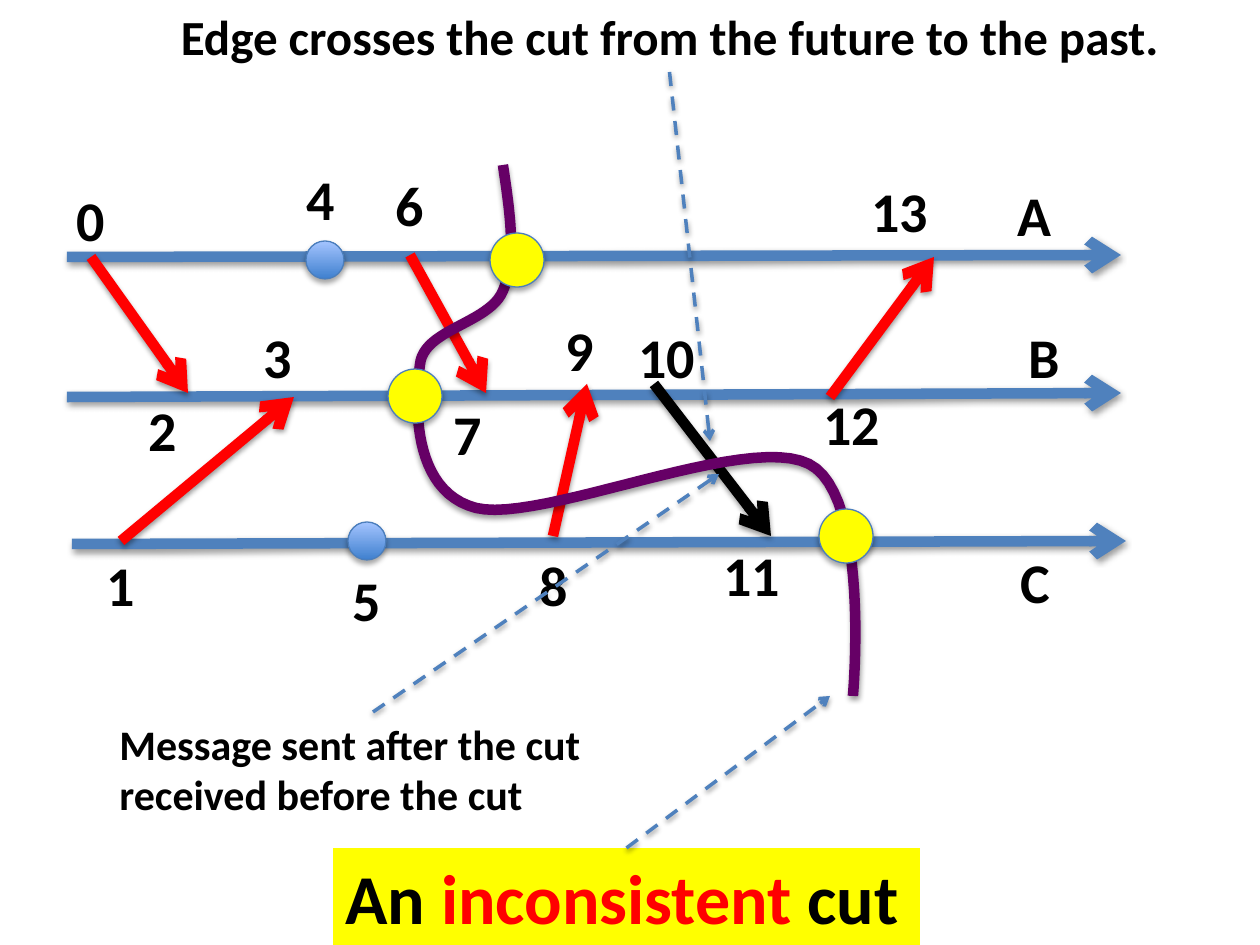
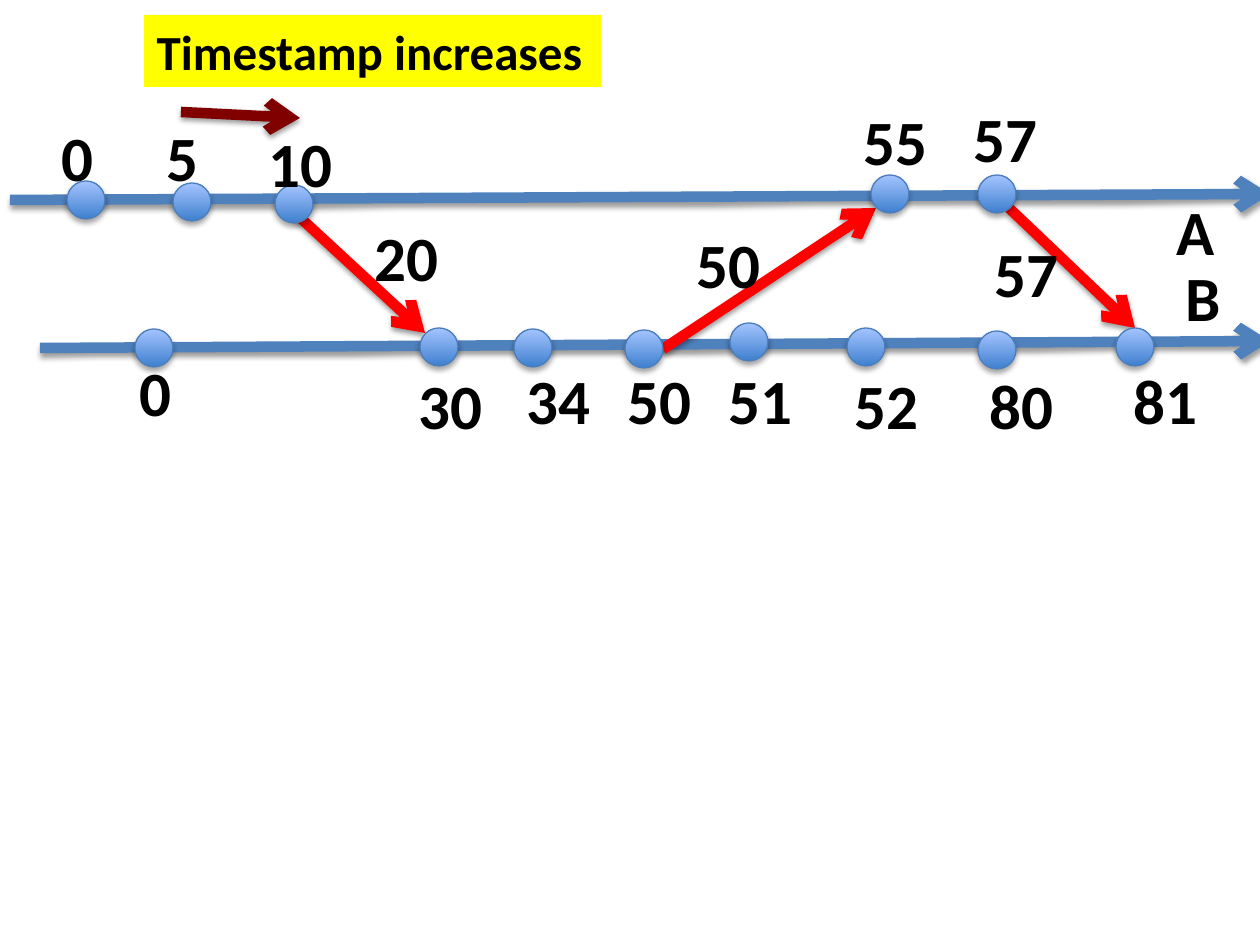
from lxml import etree
from pptx import Presentation
from pptx.dml.color import RGBColor
from pptx.enum.dml import MSO_LINE
from pptx.enum.shapes import MSO_CONNECTOR, MSO_SHAPE
from pptx.enum.text import MSO_ANCHOR, MSO_AUTO_SIZE, PP_ALIGN
from pptx.oxml.ns import qn
from pptx.util import Pt

STRAIGHT = MSO_CONNECTOR.STRAIGHT
OVAL = MSO_SHAPE.OVAL
DASH = MSO_LINE.DASH
LEFT, CENTER = PP_ALIGN.LEFT, PP_ALIGN.CENTER
TOP_SIDE, BOTTOM_SIDE = 0, 2

EMU_PER_PX = 914400 / 126
TITLE_ONLY = 5
FONT = "Calibri"
BLACK, RED, YELLOW = "000000", "FF0000", "FFFF00"
BLUE, OUTLINE, PURPLE, MAROON = "4F81BD", "4B7EBC", "660066", "800000"
EVENT_DARK, EVENT_LIGHT = "3F80CE", "A4C4FF"
EVENT_SIZE, CUT_SIZE = 38, 54
LETTER_WIDTHS = {"A": 1.06, "B": 0.98, "C": 0.93}
DIGIT_WIDTH = 0.9


def px(value):
    return round(value * EMU_PER_PX)


def box(*lengths):
    return [px(length) for length in lengths]


def rgb(color):
    return RGBColor.from_string(color)


def add_shadow(element, opacity, distance):
    """Append a soft shadow that falls straight down; distance is in points."""
    effects = etree.SubElement(element.spPr, qn("a:effectLst"))
    shadow = etree.SubElement(
        effects, qn("a:outerShdw"), blurRad=str(Pt(3.1)), dist=str(Pt(distance)),
        dir="5400000", rotWithShape="0")
    tint = etree.SubElement(shadow, qn("a:srgbClr"), val=BLACK)
    etree.SubElement(tint, qn("a:alpha"), val=str(opacity * 1000))


def write(shape, runs, size, align=LEFT, wrap=False):
    """Fill a shape with one bold paragraph of (text, color) runs."""
    frame = shape.text_frame
    frame.word_wrap = wrap
    frame.auto_size = MSO_AUTO_SIZE.NONE
    frame.vertical_anchor = MSO_ANCHOR.TOP
    paragraph = frame.paragraphs[0]
    paragraph.alignment = align
    for text, color in runs:
        run = paragraph.add_run()
        run.text = text
        run.font.name = FONT
        run.font.size = Pt(size)
        run.font.bold = True
        run.font.color.rgb = rgb(color)


def fill_solid(shape, color):
    shape.fill.solid()
    shape.fill.fore_color.rgb = rgb(color)


def set_title(slide, place, text, align, wrap):
    title = slide.shapes.title
    title.left, title.top, title.width, title.height = box(*place)
    write(title, [(text, BLACK)], 28, align, wrap)
    return title


def add_caption(slide, place, runs, size, wrap=False):
    caption = slide.shapes.add_textbox(*box(*place))
    write(caption, runs, size, wrap=wrap)
    return caption


def add_labels(slide, labels, size):
    """Place (text, left, top) labels in boxes as wide as their text."""
    for text, left, top in labels:
        advance = sum(LETTER_WIDTHS.get(char, DIGIT_WIDTH) for char in text)
        place = (left, top, 25 + advance * size, 17 + 2 * size)
        add_caption(slide, place, [(text, BLACK)], size)


def add_arrow(slide, ends, color, width=6, dashed=False):
    arrow = slide.shapes.add_connector(STRAIGHT, *box(*ends))
    arrow.line.color.rgb = rgb(color)
    arrow.line.width = Pt(width)
    if dashed:
        arrow.line.dash_style = DASH
    etree.SubElement(arrow.element.spPr.find(qn("a:ln")), qn("a:tailEnd"), type="arrow")
    add_shadow(arrow.element, 38, 1.6)
    return arrow


def add_arrows(slide, arrows, color):
    for ends in arrows:
        add_arrow(slide, ends, color)


def add_pointer(slide, ends, source, side):
    """Draw a dashed arrow that starts at the middle of a side of its source."""
    pointer = add_arrow(slide, ends, BLUE, width=2, dashed=True)
    pointer.begin_connect(source, side)


def add_circle(slide, left, top, diameter):
    circle = slide.shapes.add_shape(OVAL, *box(left, top, diameter, diameter))
    circle.line.color.rgb = rgb(OUTLINE)
    circle.line.width = Pt(0.75)
    return circle


def add_events(slide, corners):
    for left, top in corners:
        event = add_circle(slide, left, top, EVENT_SIZE)
        event.fill.gradient()
        event.fill.gradient_angle = 90
        for stop, color in zip(event.fill.gradient_stops, (EVENT_DARK, EVENT_LIGHT)):
            stop.color.rgb = rgb(color)
        add_shadow(event.element, 35, 1.8)


def add_cut_points(slide, corners):
    for left, top in corners:
        point = add_circle(slide, left, top, CUT_SIZE)
        fill_solid(point, YELLOW)
        add_shadow(point.element, 35, 1.8)


def bezier_points(start, bends, steps=24):
    """Sample a chain of cubic curves; each bend is two controls and an end."""
    points = []
    for bend in bends:
        corners = (start, *bend)
        for step in range(1, steps + 1):
            t = step / steps
            weights = ((1 - t) ** 3, 3 * t * (1 - t) ** 2, 3 * t * t * (1 - t), t ** 3)
            points.append(tuple(
                px(sum(w * corner[axis] for w, corner in zip(weights, corners)))
                for axis in (0, 1)))
        start = bend[-1]
    return points


def add_cut_line(slide, start, bends):
    builder = slide.shapes.build_freeform(*box(*start))
    builder.add_line_segments(bezier_points(start, bends), close=False)
    cut = builder.convert_to_shape()
    cut.fill.background()
    cut.line.color.rgb = rgb(PURPLE)
    cut.line.width = Pt(6)
    add_shadow(cut.element, 38, 1.6)


def build_inconsistent_cut(slide):
    headline = set_title(slide, (136, 0, 1067, 72),
                         "Edge crosses the cut from the future to the past.",
                         CENTER, wrap=True)
    timelines = [(67, 257, 1121, 255), (67, 397, 1121, 393), (72, 544, 1126, 541)]
    messages = [(410, 255, 486, 393), (830, 397, 934, 257), (91, 257, 188, 393),
                (121, 541, 294, 397), (553, 536, 587, 384)]
    add_arrows(slide, timelines, BLUE)
    add_arrows(slide, messages, RED)
    add_arrow(slide, (654, 384, 771, 536), BLACK)
    add_events(slide, [(306, 241), (348, 522)])
    add_labels(slide, [
        ("A", 1005, 174), ("B", 1016, 316), ("C", 1008, 541),
        ("0", 64, 179), ("1", 94, 544), ("2", 136, 389), ("3", 251, 316),
        ("4", 294, 158), ("5", 340, 559), ("6", 383, 164), ("7", 441, 393),
        ("8", 527, 544), ("9", 553, 309), ("10", 626, 316), ("11", 711, 534),
        ("12", 811, 383), ("13", 859, 170)], 32)

    verdict = add_caption(slide, (333, 848, 587, 97),
                          [("An ", BLACK), ("inconsistent", RED), (" cut", BLACK)], 40)
    fill_solid(verdict, YELLOW)
    add_pointer(slide, (626, 848, 830, 696), verdict, TOP_SIDE)
    add_cut_line(slide, (503, 165), [
        ((510, 212), (517, 257), (503, 291)),
        ((489, 324), (423, 329), (420, 365)),
        ((415, 401), (411, 491), (476, 508)),
        ((541, 524), (746, 432), (809, 464)),
        ((871, 495), (853, 696), (853, 696))])
    add_pointer(slide, (670, 72, 710, 441), headline, BOTTOM_SIDE)
    add_cut_points(slide, [(388, 369), (490, 233), (819, 509)])
    explanation = add_caption(
        slide, (107, 712, 532, 115),
        [("Message sent after the cut received before the cut", BLACK)], 24, wrap=True)
    add_pointer(slide, (373, 712, 719, 474), explanation, TOP_SIDE)


def build_timestamps(slide):
    headline = set_title(slide, (144, 15, 457, 72), "Timestamp increases",
                         LEFT, wrap=False)
    fill_solid(headline, YELLOW)
    timelines = [(40, 348, 1270, 341), (10, 200, 1270, 194)]
    messages = [(281, 200, 425, 333), (663, 349, 876, 208), (1009, 208, 1135, 328)]
    add_arrows(slide, timelines, BLUE)
    add_arrows(slide, messages, RED)
    add_events(slide, [
        (67, 181), (173, 183), (275, 185), (871, 175), (978, 175),
        (135, 329), (420, 328), (514, 329), (625, 330), (730, 323),
        (847, 328), (978, 331), (1116, 328)])
    add_labels(slide, [
        ("0", 49, 112), ("5", 154, 112), ("10", 256, 118), ("55", 851, 96),
        ("57", 961, 93), ("20", 362, 212), ("50", 684, 219), ("57", 982, 228),
        ("0", 127, 347), ("30", 406, 360), ("34", 514, 355), ("50", 615, 355),
        ("51", 716, 355), ("52", 842, 360), ("80", 977, 360), ("81", 1121, 355),
        ("A", 1164, 186), ("B", 1173, 252)], 36)
    add_arrow(slide, (181, 112, 300, 118), MAROON)


def main():
    presentation = Presentation()
    presentation.slide_width, presentation.slide_height = box(1260, 945)
    layout = presentation.slide_layouts[TITLE_ONLY]
    for build in (build_inconsistent_cut, build_timestamps):
        build(presentation.slides.add_slide(layout))
    presentation.save("out.pptx")


if __name__ == "__main__":
    main()
